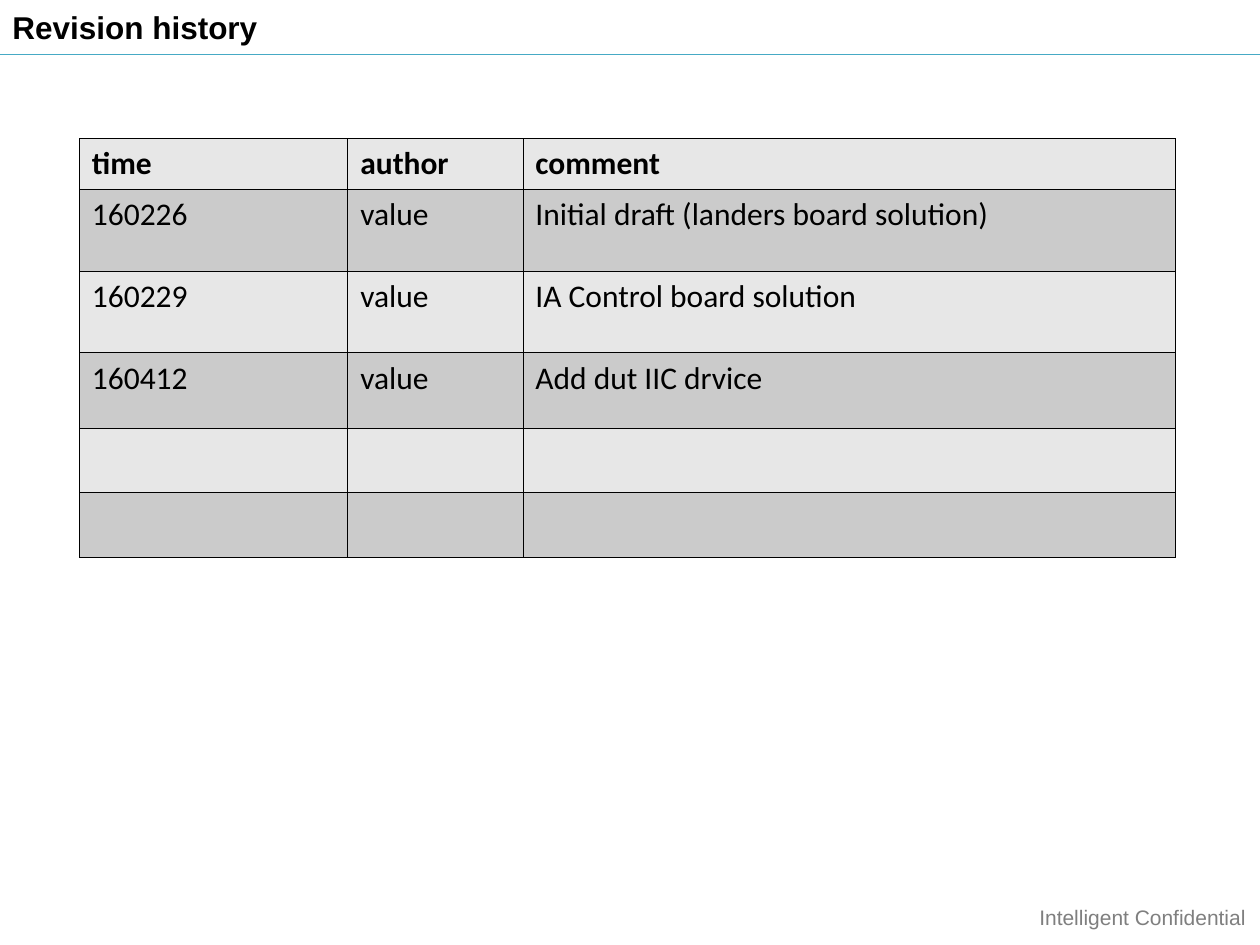
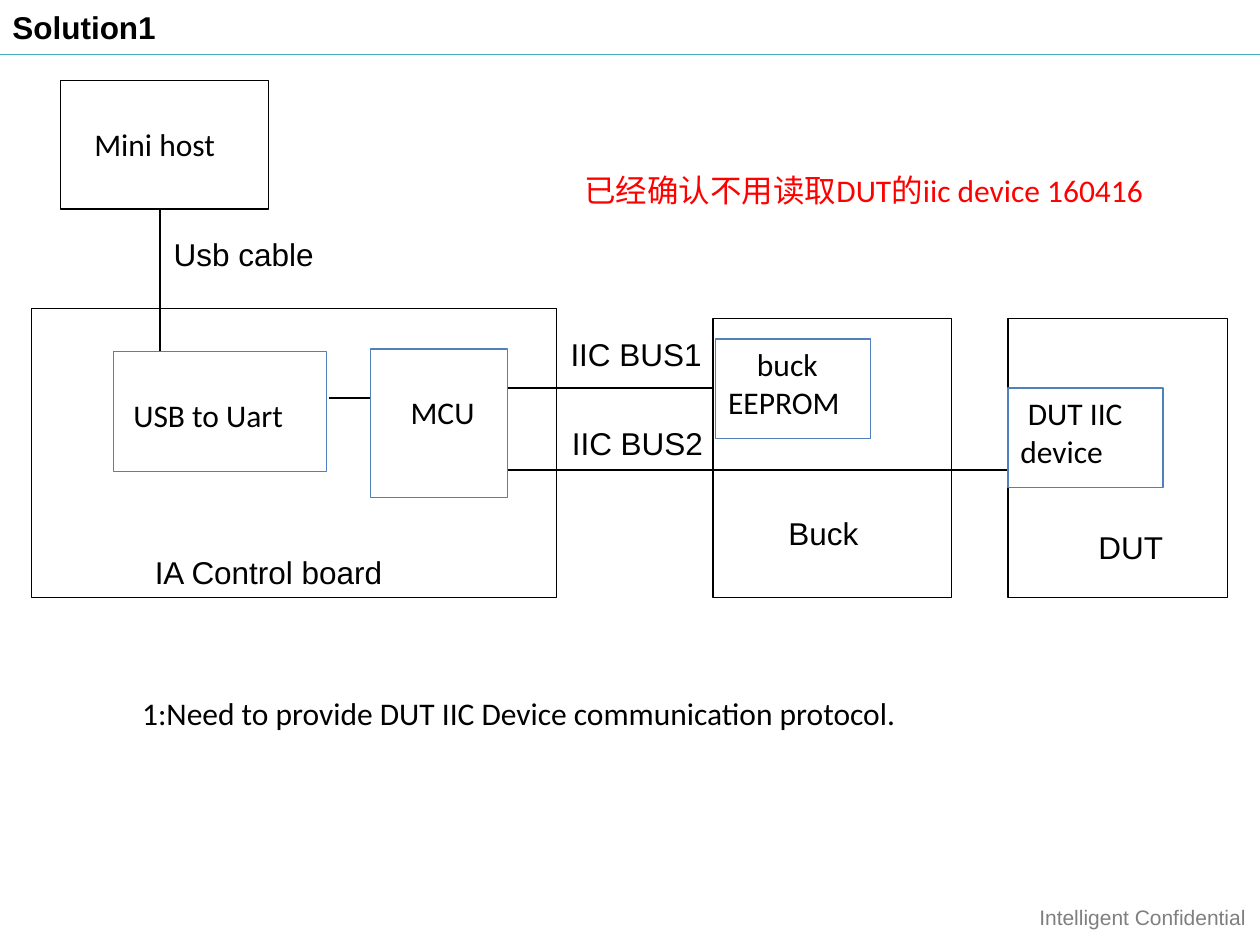
from lxml import etree
from pptx import Presentation
from pptx.dml.color import RGBColor
from pptx.enum.shapes import MSO_CONNECTOR, MSO_SHAPE
from pptx.enum.text import MSO_ANCHOR, PP_ALIGN
from pptx.oxml.ns import qn
from pptx.util import Inches, Pt

BLACK = RGBColor(0x00, 0x00, 0x00)
WHITE = RGBColor(0xFF, 0xFF, 0xFF)
RED = RGBColor(0xFF, 0x00, 0x00)
GREY = RGBColor(0x7F, 0x7F, 0x7F)
TEAL = RGBColor(0x46, 0xAA, 0xC5)
BLUE = RGBColor(0x4F, 0x81, 0xBD)
ROW_FILLS = [RGBColor(0xE7, 0xE7, 0xE7), RGBColor(0xCB, 0xCB, 0xCB)]

HEADING_FONT = "Arial"
BODY_FONT = "Calibri"
LABEL_HEIGHT = 0.4
ONE_LINE_DOWN = 0.35

REVISIONS = [
    ("time", "author", "comment"),
    ("160226", "value", "Initial draft (landers board solution)"),
    ("160229", "value", "IA Control board solution"),
    ("160412", "value", "Add dut IIC drvice"),
    ("", "", ""),
    ("", "", ""),
]
COLUMN_WIDTHS = [2.13, 1.39, 5.18]
ROW_HEIGHTS = [0.4, 0.65, 0.65, 0.6, 0.51, 0.51]


def style_text(text_frame, text, font_name, color=BLACK, size=18, bold=False):
    text_frame.text = text
    paragraph = text_frame.paragraphs[0]
    paragraph.alignment = PP_ALIGN.LEFT
    font = paragraph.font
    font.name, font.size, font.bold = font_name, Pt(size), bold
    font.color.rgb = color
    return paragraph


def add_label(slide, text, left, top, width, height=LABEL_HEIGHT, wrap=False,
              font_name=HEADING_FONT, **style):
    box = slide.shapes.add_textbox(
        Inches(left), Inches(top), Inches(width), Inches(height))
    box.text_frame.word_wrap = wrap
    style_text(box.text_frame, text, font_name, **style)
    return box


def add_box(slide, left, top, width, height, line_color=BLACK):
    box = slide.shapes.add_shape(
        MSO_SHAPE.RECTANGLE,
        Inches(left), Inches(top), Inches(width), Inches(height))
    box.shadow.inherit = False
    box.fill.solid()
    box.fill.fore_color.rgb = WHITE
    box.line.color.rgb = line_color
    box.line.width = Pt(0.75)
    return box


def add_device(slide, text, left, top, width, height, first_indent,
               text_top=0.05, line_color=BLUE):
    """Add a box whose text starts at text_top, with its first line indented."""
    box = add_box(slide, left, top, width, height, line_color)
    text_frame = box.text_frame
    text_frame.word_wrap = True
    text_frame.vertical_anchor = MSO_ANCHOR.TOP
    text_frame.margin_top = Inches(text_top)
    paragraph = style_text(text_frame, text, BODY_FONT)
    paragraph._p.get_or_add_pPr().set("indent", str(Inches(first_indent)))


def add_line(slide, start, end, color=BLACK):
    points = [Inches(value) for value in (*start, *end)]
    line = slide.shapes.add_connector(MSO_CONNECTOR.STRAIGHT, *points)
    line.line.color.rgb = color
    line.line.width = Pt(0.75)
    etree.SubElement(line._element.spPr, qn("a:effectLst"))


def set_borders(cell, color=BLACK, width=0.45):
    properties = cell._tc.get_or_add_tcPr()
    for index, side in enumerate(("a:lnL", "a:lnR", "a:lnT", "a:lnB")):
        border = etree.Element(qn(side), w=str(Pt(width)))
        fill = etree.SubElement(border, qn("a:solidFill"))
        etree.SubElement(fill, qn("a:srgbClr"), val=str(color))
        properties.insert(index, border)


def add_revision_table(slide, left, top):
    table = slide.shapes.add_table(
        len(REVISIONS), len(COLUMN_WIDTHS), Inches(left), Inches(top),
        Inches(sum(COLUMN_WIDTHS)), Inches(sum(ROW_HEIGHTS))).table
    table.first_row = table.horz_banding = False
    for column, width in zip(table.columns, COLUMN_WIDTHS):
        column.width = Inches(width)
    for index, (row, texts) in enumerate(zip(table.rows, REVISIONS)):
        row.height = Inches(ROW_HEIGHTS[index])
        for cell, text in zip(row.cells, texts):
            style_text(cell.text_frame, text, BODY_FONT, bold=index == 0)
            cell.fill.solid()
            cell.fill.fore_color.rgb = ROW_FILLS[index % 2]
            set_borders(cell)


def add_titled_slide(presentation, title):
    slide = presentation.slides.add_slide(presentation.slide_layouts[6])
    add_line(slide, (0, 0.43), (10, 0.43), TEAL)
    add_label(slide, "Intelligent Confidential", 8.15, 7.13, 1.85, 0.3,
              color=GREY, size=12)
    heading = add_label(slide, title, 0, 0.02, 3.08, 0.38, wrap=True, bold=True)
    heading.text_frame.vertical_anchor = MSO_ANCHOR.MIDDLE
    heading.line.color.rgb = WHITE
    heading.line.width = Pt(0.75)
    return slide


def add_solution_diagram(slide):
    board_bottom = 4.74
    for left, top, width in ((5.66, 2.53, 1.89), (0.25, 2.45, 4.17),
                             (8, 2.53, 1.74)):
        add_box(slide, left, top, width, board_bottom - top)

    for start, end in (((4.03, 3.08), (5.66, 3.08)),
                       ((1.27, 1.66), (1.27, 2.85)),
                       ((2.61, 3.16), (2.94, 3.16)),
                       ((4.03, 3.73), (8, 3.73))):
        add_line(slide, start, end)

    add_device(slide, "Mini host", 0.48, 0.64, 1.65, 1.02, 0.17,
               ONE_LINE_DOWN, BLACK)
    add_device(slide, "MCU", 2.94, 2.77, 1.09, 1.18, 0.22, ONE_LINE_DOWN)
    add_device(slide, "USB to Uart", 0.9, 2.79, 1.69, 0.95, 0.06, ONE_LINE_DOWN)
    add_device(slide, "buck EEPROM", 5.68, 2.69, 1.23, 0.79, 0.23)
    add_device(slide, "DUT IIC device", 8, 3.08, 1.23, 0.79, 0.06)

    for text, left, top, width in (("IA Control board", 1.13, 4.34, 2.02),
                                   ("Buck", 6.16, 4.03, 0.8),
                                   ("DUT", 8.62, 4.14, 0.76),
                                   ("IIC BUS1", 4.43, 2.61, 1.24),
                                   ("IIC BUS2", 4.44, 3.32, 1.24),
                                   ("Usb cable", 1.28, 1.82, 1.31)):
        add_label(slide, text, left, top, width)


def main():
    presentation = Presentation()
    presentation.slide_width = Inches(10)
    presentation.slide_height = Inches(7.5)

    history = add_titled_slide(presentation, "Revision history")
    add_revision_table(history, 0.63, 1.1)

    solution = add_titled_slide(presentation, "Solution1")
    add_solution_diagram(solution)
    add_label(solution,
              "1:Need to provide DUT IIC Device communication protocol.",
              1.03, 5.46, 6.26, font_name=BODY_FONT)
    add_label(solution, "已经确认不用读取DUT的iic device 160416",
              4.54, 1.31, 4.9, font_name=BODY_FONT, color=RED)

    presentation.save("out.pptx")


if __name__ == "__main__":
    main()
